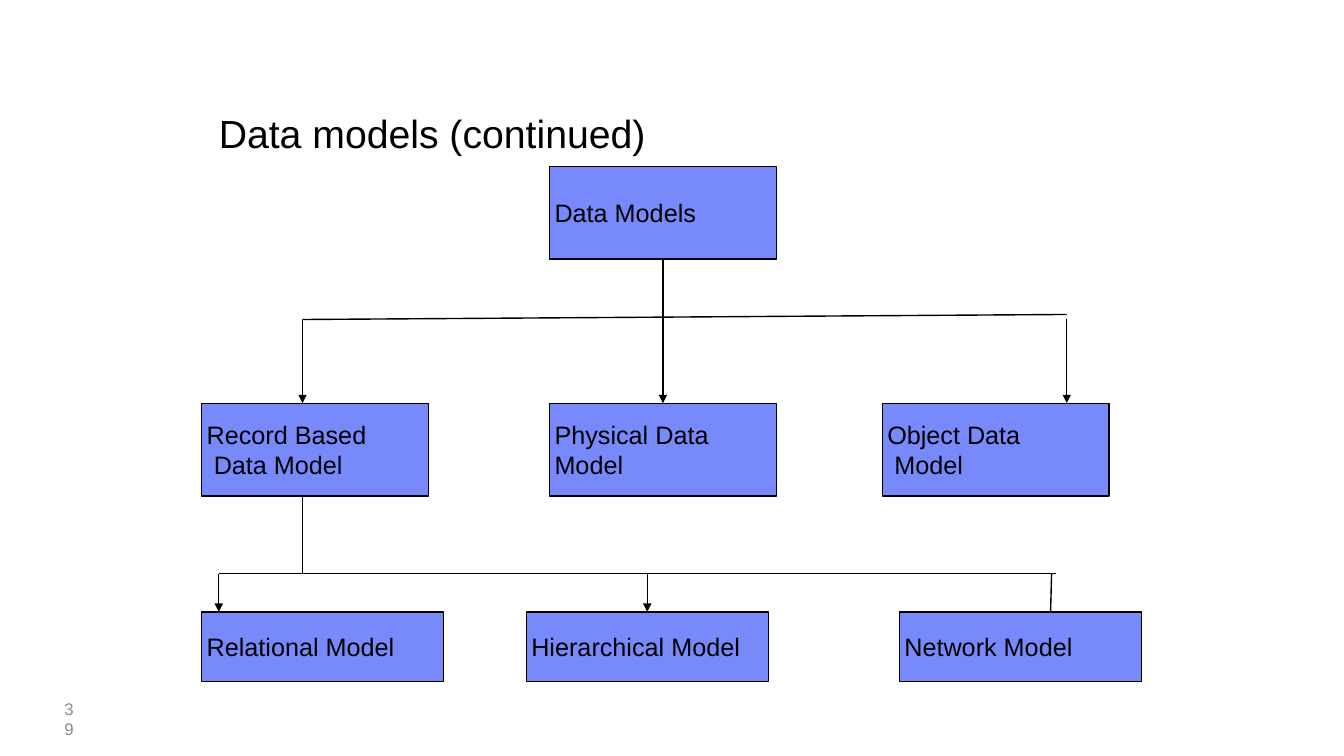
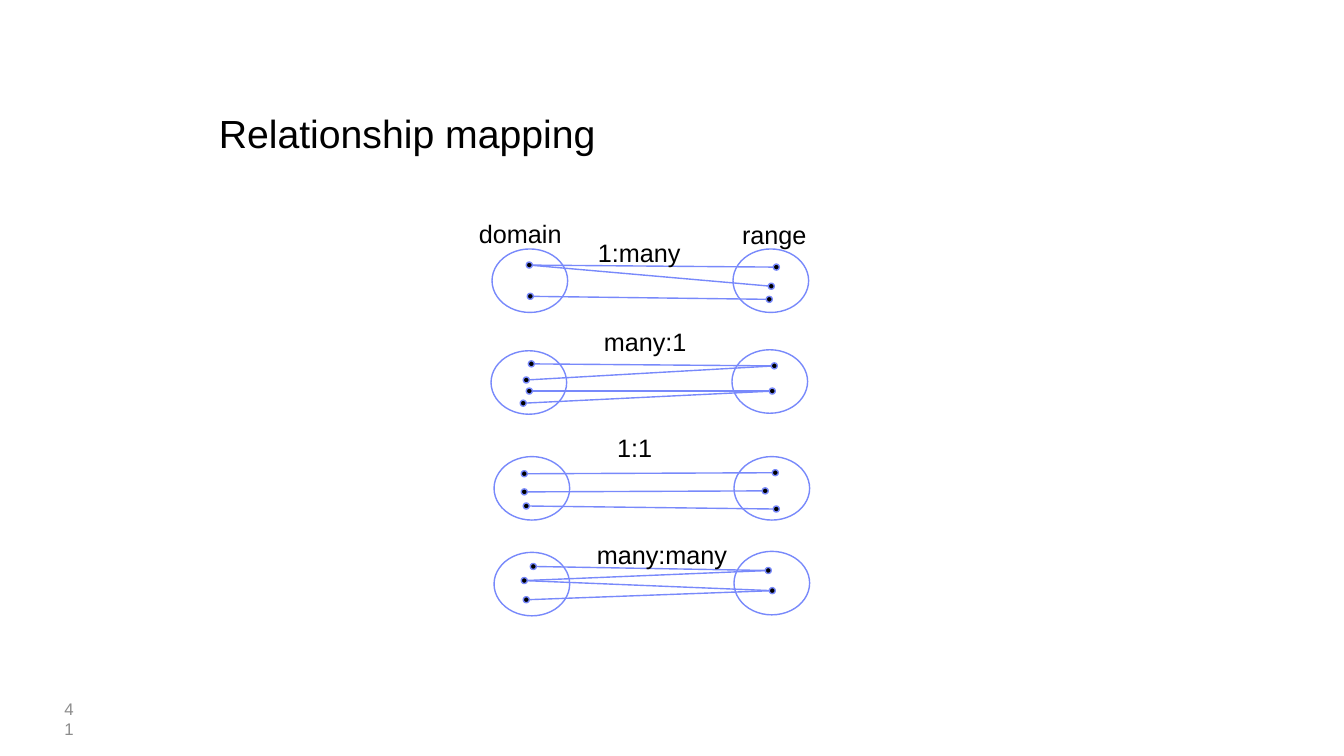
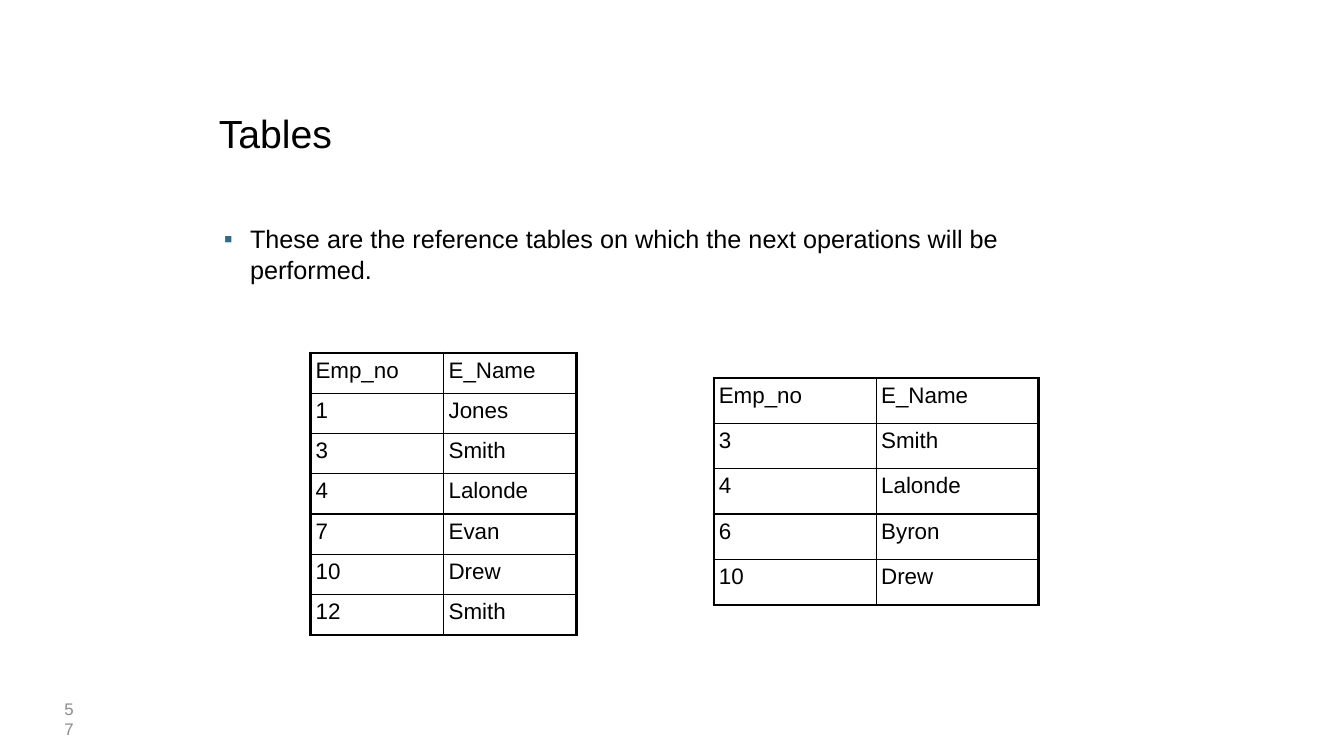
from lxml.etree import SubElement
from pptx import Presentation
from pptx.dml.color import RGBColor
from pptx.enum.shapes import MSO_CONNECTOR, MSO_SHAPE
from pptx.enum.text import MSO_ANCHOR as Anchor, MSO_AUTO_SIZE as AutoSize, PP_ALIGN as Align
from pptx.oxml.ns import qn
from pptx.util import Inches, Pt

FONT = "Arial"
BLACK, WHITE, GREY = "000000", "FFFFFF", "8C8C8C"
BLUE, BULLET_BLUE = "7889FB", "2F6B89"
CONTENT_LAYOUT, TITLE_LAYOUT = 1, 5
TOP, BOTTOM = 0, 2
PAD = 0.05

# Each mapping: label and its place, left and right ovals, domain and range
# dot centres, and links as (domain index, range index).
MAPPINGS = [
    ("1:many", (5.93, 2.35, 0.83), [(4.88, 2.47), (7.27, 2.47)],
     [(5.25, 2.63), (5.26, 2.94)],
     [(7.7, 2.65), (7.65, 2.84), (7.63, 2.97)],
     [(0, 0), (0, 1), (1, 2)]),
    ("many:1", (5.99, 3.24, 0.83), [(4.87, 3.48), (7.26, 3.47)],
     [(5.27, 3.61), (5.22, 3.77), (5.25, 3.88), (5.19, 4)],
     [(7.68, 3.63), (7.66, 3.88)],
     [(0, 0), (1, 0), (2, 1), (3, 1)]),
    ("1:1", (6.12, 4.29, 0.36), [(4.9, 4.53), (7.28, 4.53)],
     [(5.2, 4.7), (5.2, 4.88), (5.22, 5.02)],
     [(7.69, 4.69), (7.59, 4.87), (7.7, 5.05)],
     [(0, 0), (1, 1), (2, 2)]),
    ("many:many", (5.92, 5.35, 1.31), [(4.9, 5.48), (7.28, 5.47)],
     [(5.29, 5.62), (5.2, 5.76), (5.22, 5.95)],
     [(7.62, 5.66), (7.66, 5.86)],
     [(0, 0), (1, 0), (1, 1), (2, 1)]),
]


def rgb(value):
    return RGBColor.from_string(value)


def place(shape, left, top, width, height):
    shape.left, shape.top = Inches(left), Inches(top)
    shape.width, shape.height = Inches(width), Inches(height)


def set_margins(target, margin):
    target.margin_left = target.margin_right = Inches(margin)
    target.margin_top = target.margin_bottom = Inches(margin)


def style_text(frame, size, color=BLACK, align=Align.LEFT):
    for paragraph in frame.paragraphs:
        paragraph.alignment = align
        for run in paragraph.runs:
            run.font.name, run.font.size = FONT, Pt(size)
            run.font.color.rgb = rgb(color)


def add_text(slide, text, left, top, width, height, size=18, color=BLACK,
             align=Align.LEFT, anchor=Anchor.TOP, wrap=False):
    frame = slide.shapes.add_textbox(
        Inches(left), Inches(top), Inches(width), Inches(height)).text_frame
    frame.text = text
    frame.word_wrap, frame.vertical_anchor = wrap, anchor
    set_margins(frame, 0)
    style_text(frame, size, color, align)


def add_slide(prs, title_text, number, layout=TITLE_LAYOUT):
    """Add a slide with the shared title style and page number."""
    slide = prs.slides.add_slide(prs.slide_layouts[layout])
    title = slide.shapes.title
    place(title, 2.17, 0.64, 9, 0.92)
    frame = title.text_frame
    frame.text = title_text
    frame.auto_size, frame.vertical_anchor = AutoSize.NONE, Anchor.BOTTOM
    set_margins(frame, 0)
    frame.paragraphs[0].line_spacing = 0.9
    style_text(frame, 28)
    add_text(slide, number, 0.56, 7.06, 0.17, 0.15, 12, GREY,
             Align.RIGHT, Anchor.MIDDLE, wrap=True)
    return slide


def add_outlined(slide, kind, left, top, width, height, fill, line):
    shape = slide.shapes.add_shape(
        kind, Inches(left), Inches(top), Inches(width), Inches(height))
    shape.shadow.inherit = False
    shape.fill.solid()
    shape.fill.fore_color.rgb = rgb(fill)
    shape.line.color.rgb, shape.line.width = rgb(line), Pt(1)
    return shape


def add_model_box(slide, text, left, top, width=2.25, height=0.92, indent=0):
    """Add a labelled box; indent moves the lines after the first."""
    box = add_outlined(slide, MSO_SHAPE.RECTANGLE, left, top, width, height, BLUE, BLACK)
    frame = box.text_frame
    frame.text = text
    frame.word_wrap, frame.vertical_anchor = True, Anchor.MIDDLE
    set_margins(frame, PAD)
    style_text(frame, 18)
    for paragraph in frame.paragraphs[1:]:
        paragraph._p.get_or_add_pPr().set("marL", str(Inches(indent)))
    return box


def add_line(slide, start, end, color=BLACK, width=1, arrow=False):
    line = slide.shapes.add_connector(
        MSO_CONNECTOR.STRAIGHT, *(Inches(value) for value in (*start, *end)))
    line.line.color.rgb, line.line.width = rgb(color), Pt(width)
    if arrow:
        SubElement(line.line._get_or_add_ln(), qn("a:tailEnd"), type="triangle")
    SubElement(line._element.spPr, qn("a:effectLst"))
    return line


def add_dot(slide, x, y, size=0.06):
    add_outlined(slide, MSO_SHAPE.OVAL, x - size / 2, y - size / 2, size, size, BLACK, BLUE)


def add_mapping(slide, label, label_at, ovals, domain, targets, links):
    for left, top in ovals:
        add_outlined(slide, MSO_SHAPE.OVAL, left, top, 0.75, 0.63, WHITE, BLUE)
    for source, target in links:
        add_line(slide, domain[source], targets[target], BLUE)
    for x, y in domain + targets:
        add_dot(slide, x, y)
    add_text(slide, label, *label_at, 0.31)


def set_borders(cell, widths):
    """Draw cell borders from a dict of side tag to width in points."""
    properties = cell._tc.get_or_add_tcPr()
    for index, (side, width) in enumerate(widths.items()):
        border = SubElement(properties, qn(f"a:{side}"), w=str(Pt(width)))
        fill = SubElement(border, qn("a:solidFill"))
        SubElement(fill, qn("a:srgbClr"), val=BLACK)
        properties.insert(index, border)


def add_employee_table(slide, employees, left, top, column_width, row_height):
    rows = [("Emp_no", "E_Name"), *employees]
    last_row, last_column = len(rows) - 1, len(rows[0]) - 1
    table = slide.shapes.add_table(
        len(rows), len(rows[0]), Inches(left), Inches(top),
        Inches(column_width * len(rows[0])), Inches(row_height * len(rows))).table
    table.first_row = table.horz_banding = False
    for column in table.columns:
        column.width = Inches(column_width)
    for r, values in enumerate(rows):
        table.rows[r].height = Inches(row_height)
        for c, value in enumerate(values):
            cell = table.cell(r, c)
            cell.text = value
            cell.fill.background()
            set_margins(cell, PAD)
            style_text(cell.text_frame, 16)
            set_borders(cell, {
                "lnL": 2 if c == 0 else 1,
                "lnR": 2 if c == last_column else 1,
                "lnT": 2 if r == 0 else 1,
                "lnB": 2 if r == last_row else 1,
            })


def add_bullet_body(slide, text):
    body = slide.placeholders[1]
    place(body, 2.17, 2.17, 9, 4.53)
    frame = body.text_frame
    frame.text = text
    frame.auto_size = AutoSize.NONE
    set_margins(frame, PAD)
    paragraph = frame.paragraphs[0]
    paragraph.space_before = Pt(0)
    properties = paragraph._p.get_or_add_pPr()
    properties.set("marL", str(Inches(0.26)))
    properties.set("indent", str(Inches(-0.26)))
    color = SubElement(properties, qn("a:buClr"))
    SubElement(color, qn("a:srgbClr"), val=BULLET_BLUE)
    SubElement(properties, qn("a:buChar"), char="▪")
    style_text(frame, 18)


def build_data_models(prs):
    slide = add_slide(prs, "Data models (continued)", "39")
    root = add_model_box(slide, "Data Models", 5.45, 1.65)
    add_model_box(slide, "Record Based\nData Model", 2, 4, indent=0.07)
    physical = add_model_box(slide, "Physical Data\nModel", 5.45, 4)
    add_model_box(slide, "Object Data\nModel", 8.75, 4, indent=0.07)
    leaf_top = 6.07
    _, hierarchical, _ = [
        add_model_box(slide, f"{name} Model", left, leaf_top, 2.4, 0.69)
        for name, left in (("Relational", 2), ("Hierarchical", 5.22), ("Network", 8.92))]

    trunk_x, branch_y, leaf_y = 5.45 + 2.25 / 2, 3.17, 5.69
    add_line(slide, (trunk_x, 2.57), (trunk_x, branch_y)).begin_connect(root, BOTTOM)
    add_line(slide, (3, branch_y), (10.58, 3.12))
    add_line(slide, (3, branch_y), (3, 4), arrow=True)
    add_line(slide, (trunk_x, branch_y), (trunk_x, 4), arrow=True).end_connect(physical, TOP)
    add_line(slide, (10.58, 3.16), (10.58, 4), arrow=True)

    add_line(slide, (3, 4.92), (3, leaf_y))
    add_line(slide, (2.17, leaf_y), (10.47, leaf_y), width=0.25)
    add_line(slide, (2.17, leaf_y), (2.17, leaf_top), arrow=True)
    add_line(slide, (6.42, leaf_y), (6.42, leaf_top), arrow=True).end_connect(hierarchical, TOP)
    add_line(slide, (10.43, leaf_y), (10.42, leaf_top))


def build_relationship_mapping(prs):
    slide = add_slide(prs, "Relationship mapping", "41")
    for mapping in MAPPINGS:
        add_mapping(slide, *mapping)
    add_text(slide, "domain", 4.75, 2.17, 0.83, 0.31)
    add_text(slide, "range", 7.36, 2.18, 0.65, 0.31)


def build_tables(prs):
    slide = add_slide(prs, "Tables", "57", CONTENT_LAYOUT)
    add_bullet_body(slide, "These are the reference tables on which the next "
                           "operations will be performed.")
    add_employee_table(slide, [
        ("1", "Jones"), ("3", "Smith"), ("4", "Lalonde"),
        ("7", "Evan"), ("10", "Drew"), ("12", "Smith"),
    ], 3.08, 3.5, 1.32, 0.4)
    add_employee_table(slide, [
        ("3", "Smith"), ("4", "Lalonde"), ("6", "Byron"), ("10", "Drew"),
    ], 7.08, 3.75, 1.61, 0.45)


def main():
    prs = Presentation()
    prs.slide_width, prs.slide_height = Inches(13.33), Inches(7.5)
    build_data_models(prs)
    build_relationship_mapping(prs)
    build_tables(prs)
    prs.save("out.pptx")


if __name__ == "__main__":
    main()
